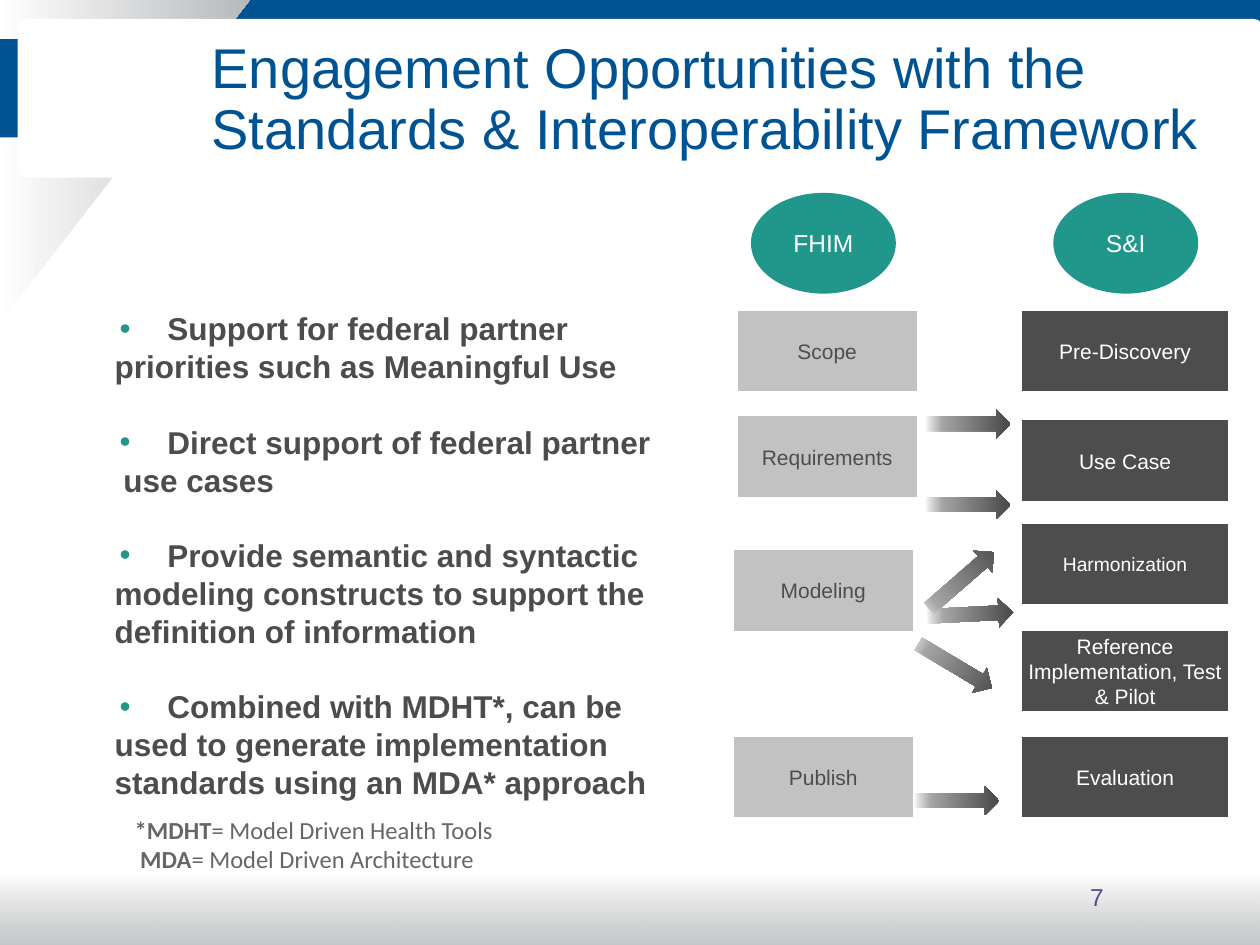
from lxml.etree import SubElement
from pptx import Presentation
from pptx.dml.color import RGBColor
from pptx.enum.shapes import MSO_SHAPE
from pptx.enum.text import MSO_ANCHOR, PP_ALIGN
from pptx.oxml.ns import qn
from pptx.util import Pt

BLUE = RGBColor(0x00, 0x53, 0x93)
TEAL = RGBColor(0x21, 0x97, 0x8B)
WHITE = RGBColor(0xFF, 0xFF, 0xFF)
SILVER = RGBColor(0xB8, 0xB9, 0xBB)
LIGHT = RGBColor(0xC2, 0xC2, 0xC2)
DARK = RGBColor(0x4D, 0x4D, 0x4D)
BODY = RGBColor(0x4C, 0x4C, 0x4C)
NOTE = RGBColor(0x66, 0x66, 0x66)
NUMBER = RGBColor(0x4F, 0x53, 0x8B)
ARROW_STOPS = [(0, WHITE, 100), (7, RGBColor(0xD9, 0xD9, 0xD9), 100),
               (21, RGBColor(0xA3, 0xA3, 0xA3), 100), (95, DARK, 100)]

presentation = Presentation()
presentation.slide_width = Pt(720)
presentation.slide_height = Pt(540)
slide = presentation.slides.add_slide(presentation.slide_layouts[6])
shapes = slide.shapes


def paint(shape, stops, angle=0):
    shape.shadow.inherit = False
    shape.line.fill.background()
    if isinstance(stops, RGBColor):
        shape.fill.solid()
        shape.fill.fore_color.rgb = stops
        return
    shape.fill.gradient()
    shape.fill.gradient_angle = angle
    stop_list = shape.element.spPr.find(".//" + qn("a:gsLst"))
    for old_stop in list(stop_list):
        stop_list.remove(old_stop)
    for position, color, opacity in stops:
        stop = SubElement(stop_list, qn("a:gs"), pos=str(position * 1000))
        color_element = SubElement(stop, qn("a:srgbClr"), val=str(color))
        if opacity < 100:
            SubElement(color_element, qn("a:alpha"), val=str(opacity * 1000))


def write(paragraph, text, size, color, bold=False, font="Arial"):
    run = paragraph.add_run()
    run.text = text
    run.font.name = font
    run.font.size = Pt(size)
    run.font.bold = bold
    run.font.color.rgb = color


top_bar = shapes.add_shape(MSO_SHAPE.RECTANGLE, Pt(115.2), 0, Pt(606.2), Pt(30.2))
paint(top_bar, BLUE)
builder = shapes.build_freeform(Pt(-0.7), Pt(-0.7))
builder.add_line_segments([(Pt(-0.7), Pt(185)), (Pt(143.3), Pt(-0.7))])
paint(builder.convert_to_shape(), [(0, WHITE, 100), (100, SILVER, 100)])
side_bar = shapes.add_shape(MSO_SHAPE.RECTANGLE, 0, Pt(22.3), Pt(12.2), Pt(56.2))
paint(side_bar, BLUE)
title_panel = shapes.add_shape(MSO_SHAPE.ROUNDED_RECTANGLE, Pt(10.1), Pt(10.8), Pt(711.4), Pt(90.7))
title_panel.adjustments[0] = 0.056
paint(title_panel, WHITE)
footer = shapes.add_shape(MSO_SHAPE.RECTANGLE, 0, Pt(499), Pt(720), Pt(41.8))
paint(footer, [(0, SILVER, 82), (100, WHITE, 100)], 90)

frames = []
for left, top, width, height, inset_x, inset_y in [
    (113.8, 0, 606.2, 113.8, 7.2, 4.3),
    (65.5, 154.8, 349.2, 418 - 100, 0, 22),
    (73.4, 462.2, 239.8, 55.4, 3.6, 3.6),
    (618.5, 504, 16.6, 23.8, 0, 0),
]:
    frame = shapes.add_textbox(Pt(left), Pt(top), Pt(width), Pt(height)).text_frame
    frame.word_wrap = True
    frame.margin_left = frame.margin_right = Pt(inset_x)
    frame.margin_top = frame.margin_bottom = Pt(inset_y)
    frames.append(frame)
title, body, notes, number = frames

title.vertical_anchor = MSO_ANCHOR.MIDDLE
title.paragraphs[0].line_spacing = Pt(34.8)
write(title.paragraphs[0], "Engagement Opportunities with the Standards & Interoperability Framework", 32, BLUE)

points = [
    ["Support for federal partner", "priorities such as Meaningful Use"],
    ["Direct support of federal partner", " use cases"],
    ["Provide semantic and syntactic", "modeling constructs to support the", "definition of information"],
    ["Combined with MDHT*, can be", "used to generate implementation", "standards using an MDA* approach"],
]
for point_index, lines in enumerate(points):
    for line_index, line in enumerate(lines):
        first = point_index == line_index == 0
        paragraph = body.paragraphs[0] if first else body.add_paragraph()
        paragraph.line_spacing = Pt(21.6)
        paragraph.space_before = Pt(21.6 if line_index == 0 and not first else 0)
        if line_index == 0:
            properties = paragraph._p.get_or_add_pPr()
            properties.set("marL", str(Pt(30.2)))
            properties.set("indent", str(Pt(-27.4)))
            bullet_color = SubElement(properties, qn("a:buClr"))
            SubElement(bullet_color, qn("a:srgbClr"), val=str(TEAL))
            SubElement(properties, qn("a:buFont"), typeface="Arial")
            SubElement(properties, qn("a:buChar"), char="•")
        write(paragraph, line, 18, BODY, True)

for index, (term, meaning) in enumerate([
    ("*MDHT", "= Model Driven Health Tools"),
    (" MDA", "= Model Driven Architecture"),
]):
    paragraph = notes.add_paragraph() if index else notes.paragraphs[0]
    write(paragraph, term, 14, NOTE, True, "Calibri")
    write(paragraph, meaning, 14, NOTE, False, "Calibri")

number.paragraphs[0].alignment = PP_ALIGN.CENTER
write(number.paragraphs[0], "7", 14, NUMBER)

OVAL = (MSO_SHAPE.OVAL, 82.8, 57.6, TEAL, WHITE)
FHIM_BOX = (MSO_SHAPE.RECTANGLE, 103, 46.8, LIGHT, DARK)
SI_BOX = (MSO_SHAPE.RECTANGLE, 118.1, 46.8, DARK, WHITE)
for style, label, left, top, size in [
    (OVAL, "FHIM", 429.1, 110.2, 14),
    (OVAL, "S&I", 601.9, 110.2, 14),
    (FHIM_BOX, "Scope", 421.2, 177.1, 12),
    (FHIM_BOX, "Requirements", 421.2, 237.6, 12),
    (FHIM_BOX, "Modeling", 419, 313.9, 12),
    (FHIM_BOX, "Publish", 419, 420.5, 12),
    (SI_BOX, "Pre-Discovery", 583.9, 177.1, 12),
    (SI_BOX, "Use Case", 583.9, 239.8, 12),
    (SI_BOX, "Harmonization", 583.9, 298.8, 11),
    (SI_BOX, "Reference Implementation, Test & Pilot", 583.9, 360, 12),
    (SI_BOX, "Evaluation", 583.9, 420.5, 12),
]:
    preset, width, height, fill, ink = style
    node = shapes.add_shape(preset, Pt(left), Pt(top), Pt(width), Pt(height))
    paint(node, fill)
    if preset == MSO_SHAPE.RECTANGLE:
        node.line.color.rgb = WHITE
        node.line.width = Pt(0.75)
    frame = node.text_frame
    frame.word_wrap = True
    frame.vertical_anchor = MSO_ANCHOR.MIDDLE
    frame.margin_left = frame.margin_right = Pt(2.5)
    frame.margin_top = frame.margin_bottom = 0
    frame.paragraphs[0].alignment = PP_ALIGN.CENTER
    write(frame.paragraphs[0], label, size, ink)

for left, top, rotation in [
    (528.5, 234, 0), (528.5, 280.1, 0), (529.9, 342.7, 357.1),
    (521.3, 372.2, 30.9), (522, 449.3, 0), (524.9, 323.3, 319),
]:
    arrow = shapes.add_shape(MSO_SHAPE.RIGHT_ARROW, Pt(left), Pt(top), Pt(49), Pt(16.6))
    arrow.rotation = rotation
    paint(arrow, ARROW_STOPS)

presentation.save("out.pptx")
